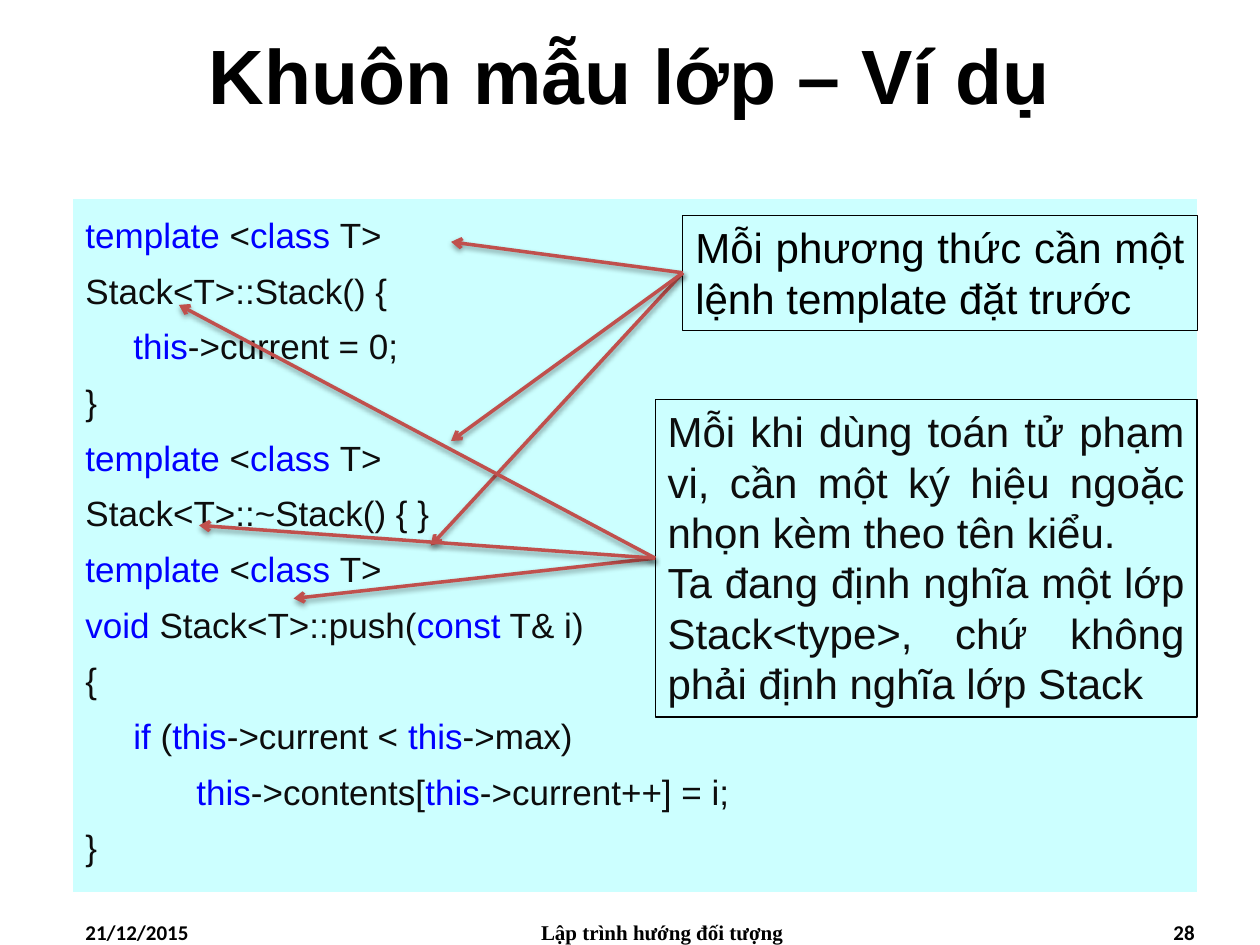
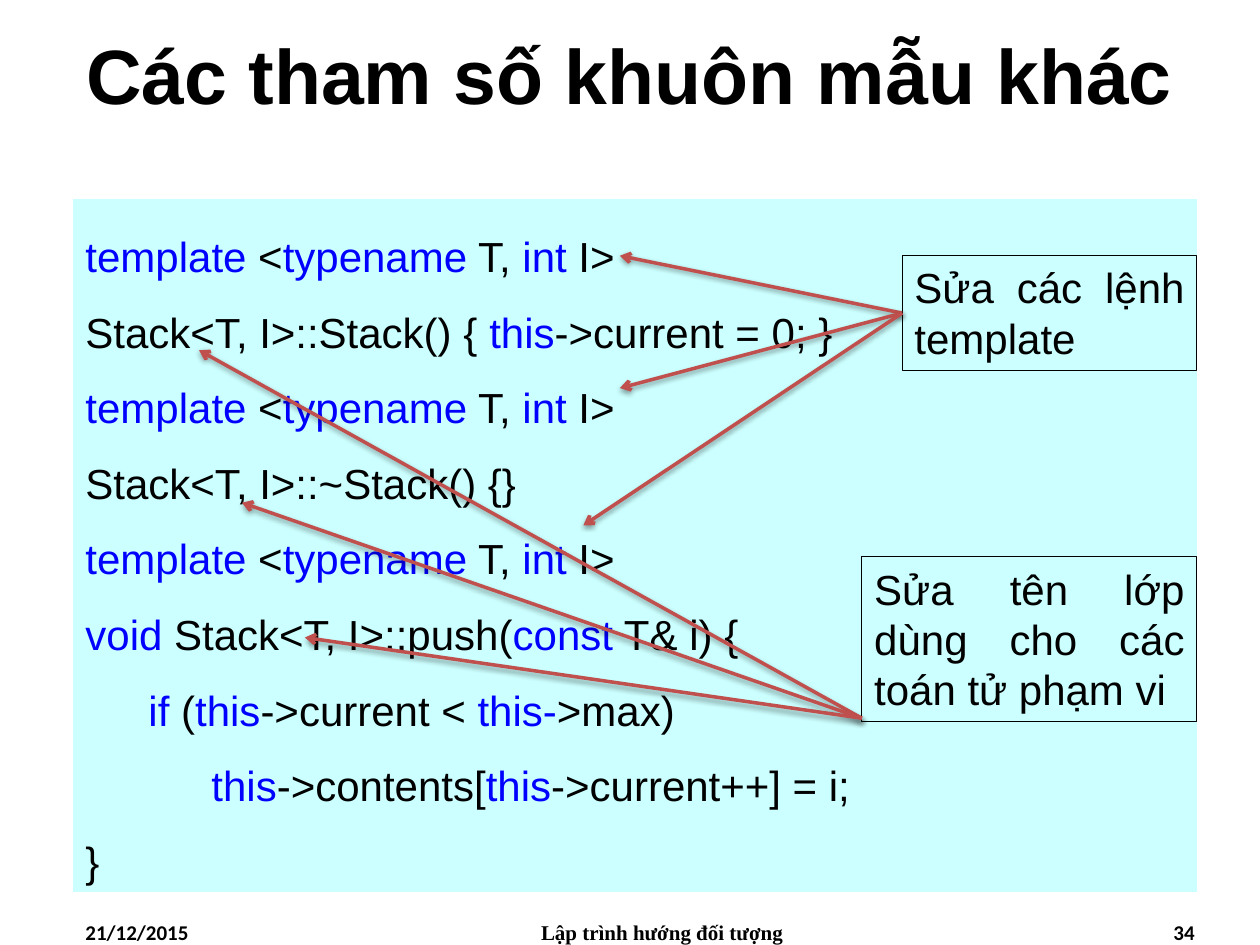
from dataclasses import dataclass

from lxml import etree
from pptx import Presentation
from pptx.dml.color import RGBColor
from pptx.enum.shapes import MSO_CONNECTOR, MSO_SHAPE
from pptx.enum.text import MSO_ANCHOR, PP_ALIGN
from pptx.oxml.ns import qn
from pptx.util import Inches, Pt

LEFT, CENTER, RIGHT = PP_ALIGN.LEFT, PP_ALIGN.CENTER, PP_ALIGN.RIGHT
JUSTIFY = PP_ALIGN.JUSTIFY
TOP, MIDDLE = MSO_ANCHOR.TOP, MSO_ANCHOR.MIDDLE
RECTANGLE = MSO_SHAPE.RECTANGLE
STRAIGHT = MSO_CONNECTOR.STRAIGHT
LEFT_SIDE = 1


@dataclass(frozen=True)
class Theme:
    black: RGBColor = RGBColor(0x00, 0x00, 0x00)
    ink: RGBColor = RGBColor(0x0D, 0x0D, 0x0D)
    keyword: RGBColor = RGBColor(0x00, 0x00, 0xFF)
    panel: RGBColor = RGBColor(0xCC, 0xFF, 0xFF)
    arrow: RGBColor = RGBColor(0xC0, 0x50, 0x4D)
    body_font: str = "Arial"
    number_font: str = "Calibri"
    footer_font: str = "Times New Roman"
    title_size: int = 44
    callout_size: int = 24
    footer_size: int = 12
    arrow_width: int = 2


THEME = Theme()
DATE = "21/12/2015"
COURSE = "Lập trình hướng đối tượng"

# Keywords stand between bars
STACK_CODE = [
    "|template |<|class |T>",
    "Stack<T>::Stack() {",
    "\t|this|->current = 0;",
    "}",
    "|template |<|class |T>",
    "Stack<T>::~Stack() { }",
    "|template |<|class |T>",
    "|void| Stack<T>::push(|const| T& i)",
    "{",
    "\t|if| (|this|->current < |this|->max)",
    "\t\t|this|->contents[|this|->current++] = i;",
    "}",
]
PARAMETER_CODE = [
    "|template| <|typename| T, |int| I>",
    "Stack<T, I>::Stack() { |this|->current = 0; }",
    "|template| <|typename| T, |int| I>",
    "Stack<T, I>::~Stack() {}",
    "|template| <|typename| T, |int| I>",
    "|void |Stack<T, I>::push(|const| T& i) {",
    "\t|if |(|this|->current <| this-|>max)",
    "\t\t|this|->contents[|this|->current++] = i;",
    "}",
]


def set_font(paragraph, name, size, color, bold=False):
    font = paragraph.font
    font.name, font.size, font.bold = name, Pt(size), bold
    font.color.rgb = color


def add_label(slide, box, text, alignment, name, size, anchor=TOP):
    """Bold black line of text, for titles and footers."""
    frame = slide.shapes.add_textbox(*map(Inches, box)).text_frame
    frame.word_wrap = True
    frame.vertical_anchor = anchor
    paragraph = frame.paragraphs[0]
    paragraph.text = text
    paragraph.alignment = alignment
    set_font(paragraph, name, size, THEME.black, bold=True)


def add_rectangle(slide, box):
    shape = slide.shapes.add_shape(RECTANGLE, *map(Inches, box))
    shape.shadow.inherit = False
    shape.text_frame.word_wrap = True
    shape.text_frame.vertical_anchor = TOP
    return shape


def add_paragraphs(frame, count):
    for _ in range(count - 1):
        frame.add_paragraph()
    return frame.paragraphs


def add_code_panel(slide, lines, size, color, line_spacing, space_before=0, hanging=0):
    panel = add_rectangle(slide, (0.58, 1.58, 8.92, 5.5))
    panel.fill.solid()
    panel.fill.fore_color.rgb = THEME.panel
    panel.line.fill.background()
    paragraphs = add_paragraphs(panel.text_frame, len(lines))
    for index, (paragraph, line) in enumerate(zip(paragraphs, lines)):
        paragraph.alignment = LEFT
        paragraph.line_spacing = line_spacing
        paragraph.space_before = Pt(space_before if index else 0)
        properties = paragraph._p.get_or_add_pPr()
        properties.set("marL", str(Inches(hanging)))
        properties.set("indent", str(-Inches(hanging)))
        set_font(paragraph, THEME.body_font, size, color)
        for position, text in enumerate(line.split("|")):
            if text:
                run = paragraph.add_run()
                run.text = text
                run.font.color.rgb = THEME.keyword if position % 2 else color


def add_callout(slide, box, texts, color=THEME.black, border=0.5):
    callout = add_rectangle(slide, box)
    callout.fill.background()
    callout.line.color.rgb = THEME.black
    callout.line.width = Pt(border)
    paragraphs = add_paragraphs(callout.text_frame, len(texts))
    for paragraph, text in zip(paragraphs, texts):
        paragraph.text = text
        paragraph.alignment = JUSTIFY
        set_font(paragraph, THEME.body_font, THEME.callout_size, color)
    return callout


def add_arrow(slide, start, end):
    arrow = slide.shapes.add_connector(STRAIGHT, *map(Inches, (*start, *end)))
    arrow.line.color.rgb = THEME.arrow
    arrow.line.width = Pt(THEME.arrow_width)
    etree.SubElement(arrow.line._get_or_add_ln(), qn("a:tailEnd"), type="arrow")
    # Soft shadow below the line
    effects = etree.SubElement(arrow._element.spPr, qn("a:effectLst"))
    shadow = etree.SubElement(effects, qn("a:outerShdw"), blurRad=str(Pt(3.1)),
                              dist=str(Pt(1.6)), dir="5400000", rotWithShape="0")
    shade = etree.SubElement(shadow, qn("a:srgbClr"), val=str(THEME.black))
    etree.SubElement(shade, qn("a:alpha"), val="38000")
    return arrow


def add_joined_arrows(slide, callout, targets):
    for target in targets:
        add_arrow(slide, (0, 0), target).begin_connect(callout, LEFT_SIDE)


def add_slide(presentation, title, number):
    slide = presentation.slides.add_slide(presentation.slide_layouts[6])
    add_label(slide, (0, 0, 10, 1.17), title, CENTER,
              THEME.body_font, THEME.title_size, MIDDLE)
    footers = [
        (0.58, 2.33, DATE, LEFT, THEME.number_font),
        (3.67, 3.17, COURSE, CENTER, THEME.footer_font),
        (7.25, 2.33, str(number), RIGHT, THEME.number_font),
    ]
    for left, width, text, alignment, font in footers:
        add_label(slide, (left, 7.25, width, 0.25), text, alignment,
                  font, THEME.footer_size)
    return slide


def add_stack_slide(presentation):
    slide = add_slide(presentation, "Khuôn mẫu lớp – Ví dụ", 28)
    add_code_panel(slide, STACK_CODE, 20, THEME.ink, 1.2, space_before=3, hanging=0.38)
    template_note = add_callout(slide, (5.42, 1.71, 4.08, 0.91),
                                ["Mỗi phương thức cần một lệnh template đặt trước"])
    add_joined_arrows(slide, template_note, [(3.42, 4.33), (3.58, 1.92), (3.58, 3.5)])
    scope_note = add_callout(slide, (5.2, 3.17, 4.3, 2.52), [
        "Mỗi khi dùng toán tử phạm vi, cần một ký hiệu ngoặc nhọn kèm theo tên kiểu.",
        "Ta đang định nghĩa một lớp Stack<type>, chứ không phải định nghĩa lớp Stack",
    ], THEME.ink, 0.75)
    add_joined_arrows(slide, scope_note, [(2.33, 4.75), (1.42, 2.42), (1.58, 4.17)])


def add_parameter_slide(presentation):
    slide = add_slide(presentation, "Các tham số khuôn mẫu khác", 34)
    add_code_panel(slide, PARAMETER_CODE, 24, THEME.black, 1.5)
    template_note = add_callout(slide, (7.16, 2.03, 2.34, 0.91),
                                ["Sửa các lệnh template"])
    add_joined_arrows(slide, template_note, [(4.92, 2.03), (4.92, 3.08), (4.63, 4.17)])
    add_callout(slide, (6.84, 4.42, 2.66, 1.31),
                ["Sửa tên lớp dùng cho các toán tử phạm vi"])
    # These start near the lower left corner of the callout
    for target in [(1.58, 2.78), (1.92, 3.99), (2.42, 5.06)]:
        add_arrow(slide, (6.84, 5.7), target)


def main():
    presentation = Presentation()
    presentation.slide_width = Inches(10)
    presentation.slide_height = Inches(7.5)
    add_stack_slide(presentation)
    add_parameter_slide(presentation)
    presentation.save("out.pptx")


if __name__ == "__main__":
    main()
